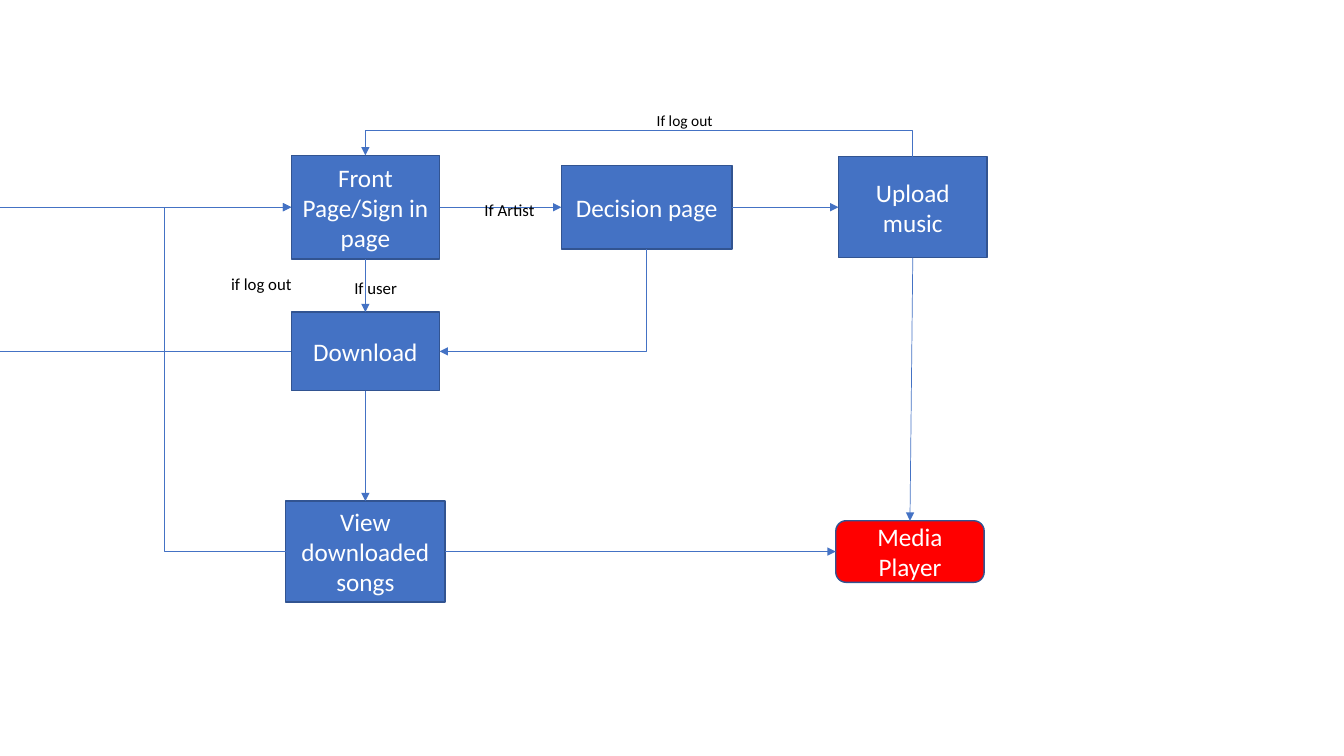
import pptx
import pptx.util
import pptx.dml.color
import pptx.enum.shapes
import pptx.enum.text
import pptx.oxml
import pptx.oxml.ns

Pt = pptx.util.Pt
RGBColor = pptx.dml.color.RGBColor
SHAPE = pptx.enum.shapes.MSO_SHAPE
CONNECTOR = pptx.enum.shapes.MSO_CONNECTOR
ALIGN = pptx.enum.text.PP_ALIGN
qn = pptx.oxml.ns.qn

BLUE = RGBColor(0x44, 0x72, 0xC4)
DARK_BLUE = RGBColor(0x32, 0x54, 0x91)
RED = RGBColor(0xFF, 0x00, 0x00)
WHITE = RGBColor(0xFF, 0xFF, 0xFF)
BLACK = RGBColor(0x00, 0x00, 0x00)
TOP, LEFT, BOTTOM, RIGHT = range(4)

presentation = pptx.Presentation()
presentation.slide_width = Pt(960)
presentation.slide_height = Pt(540)
slide = presentation.slides.add_slide(presentation.slide_layouts[6])


def format_text(shape, text, size, color, alignment):
    shape.text_frame.text = text
    for paragraph in shape.text_frame.paragraphs:
        paragraph.alignment = alignment
        for run in paragraph.runs:
            run.font.name = "Calibri"
            run.font.size = Pt(size)
            run.font.color.rgb = color


def add_line(kind, start, end, arrow=True):
    line = slide.shapes.add_connector(kind, 0, Pt(start[1]), 0, Pt(end[1]))
    if start[0]:
        line.begin_connect(boxes[start[0]], start[2])
    if end[0]:
        line.end_connect(boxes[end[0]], end[2])
    line.line.color.rgb = BLUE
    line.line.width = Pt(0.5)
    if arrow:
        outline = line.line._get_or_add_ln()
        pptx.oxml.ns and outline.append(
            pptx.oxml.parse_xml(f'<a:tailEnd {pptx.oxml.ns.nsdecls("a")} type="triangle"/>'))
    line._element.spPr.append(
        pptx.oxml.parse_xml(f'<a:effectLst {pptx.oxml.ns.nsdecls("a")}/>'))
    return line


boxes = {}
for name, text, kind, fill, left, top, width, height in [
    ("front", "Front Page/Sign in page", SHAPE.RECTANGLE, BLUE, 208, 111, 106, 74),
    ("download", "Download", SHAPE.RECTANGLE, BLUE, 208, 223, 106, 56),
    ("decision", "Decision page", SHAPE.RECTANGLE, BLUE, 401, 118, 122, 60),
    ("upload", "Upload music", SHAPE.RECTANGLE, BLUE, 599, 112, 106, 72),
    ("view", "View downloaded\nsongs", SHAPE.RECTANGLE, BLUE, 204, 358, 114, 72),
    ("player", "Media Player", SHAPE.ROUNDED_RECTANGLE, RED, 597, 372, 106, 44),
]:
    box = slide.shapes.add_shape(kind, Pt(left), Pt(top), Pt(width), Pt(height))
    box.shadow.inherit = False
    box.fill.solid()
    box.fill.fore_color.rgb = fill
    box.line.color.rgb = DARK_BLUE
    box.line.width = Pt(1)
    box.text_frame.word_wrap = True
    box.text_frame.vertical_anchor = pptx.enum.text.MSO_ANCHOR.MIDDLE
    format_text(box, text, 18, WHITE, ALIGN.CENTER)
    boxes[name] = box

for start, start_side, end, end_side in [
    ("front", BOTTOM, "download", TOP),
    ("front", RIGHT, "decision", LEFT),
    ("decision", RIGHT, "upload", LEFT),
    ("download", BOTTOM, "view", TOP),
    ("upload", BOTTOM, "player", TOP),
    ("view", RIGHT, "player", LEFT),
]:
    add_line(CONNECTOR.STRAIGHT, (start, 0, start_side), (end, 0, end_side))

add_line(CONNECTOR.STRAIGHT, ("download", 0, LEFT), (None, 251), arrow=False)
add_line(CONNECTOR.STRAIGHT, (None, 148), ("front", 0, LEFT))

for start, start_side, end, end_side, preset, turn, flip, bend, center_x, center_y, width, height in [
    ("decision", BOTTOM, "download", RIGHT, "bentConnector2", 90, None, None, 388, 214.5, 73, 148),
    ("upload", TOP, "front", TOP, "bentConnector3", 270, "flipV", 1900000, 456.5, 111.5, 1, 391),
    ("view", LEFT, "front", LEFT, "bentConnector3", 180, "flipH", -2175000, 206, 271, 4, 246),
]:
    elbow = add_line(CONNECTOR.ELBOW, (start, 0, start_side), (end, 0, end_side))
    elbow.left, elbow.top = Pt(center_x - width / 2), Pt(center_y - height / 2)
    elbow.width, elbow.height = Pt(width), Pt(height)
    transform = elbow._element.spPr.find(qn("a:xfrm"))
    for attribute in ("flipH", "flipV"):
        transform.set(attribute, "1" if attribute == flip else "0")
    transform.set("rot", str(turn * 60000))
    geometry = elbow._element.spPr.find(qn("a:prstGeom"))
    geometry.set("prst", preset)
    if bend:
        guides = geometry.find(qn("a:avLst"))
        guides.append(pptx.oxml.parse_xml(
            f'<a:gd {pptx.oxml.ns.nsdecls("a")} name="adj1" fmla="val {bend}"/>'))

for text, size, left, top, width, height in [
    ("If Artist", 12, 339, 139, 50, 22),
    ("If log out", 11, 462, 76, 55, 21),
    ("if log out", 12, 158, 192, 58, 22),
    ("If user", 12, 246, 195, 45, 22),
]:
    label = slide.shapes.add_textbox(Pt(left), Pt(top), Pt(width), Pt(height))
    label.text_frame.word_wrap = False
    label.text_frame.auto_size = pptx.enum.text.MSO_AUTO_SIZE.SHAPE_TO_FIT_TEXT
    format_text(label, text, size, BLACK, ALIGN.LEFT)

presentation.save("out.pptx")
